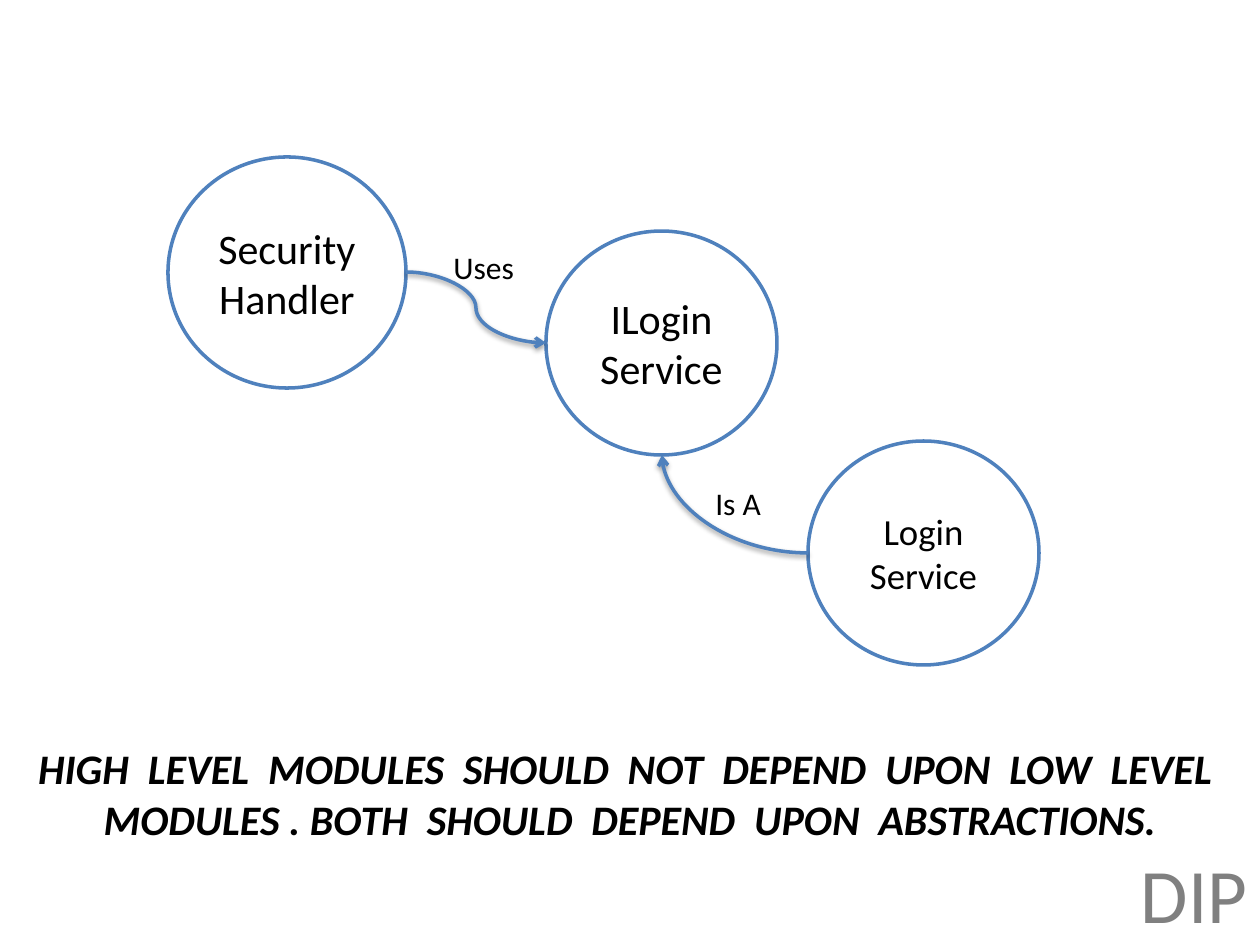
import pptx
import pptx.util
import pptx.dml.color
import pptx.enum.shapes
import pptx.enum.text
import pptx.oxml
import pptx.oxml.ns

PX = 914400 // 126
COLORS = {"page": "FFFFFF", "ink": "000000", "line": "4F81BD", "tag": "808080"}
ALIGN = pptx.enum.text.PP_ALIGN
ANCHOR = pptx.enum.text.MSO_ANCHOR

CIRCLES = {
    "handler": (["Security", "Handler"], (168, 157, 238, 231), 24),
    "interface": (["ILogin", "Service"], (546, 231, 231, 224), 24),
    "service": (["Login Service"], (808, 441, 231, 224), 21),
}
ARROWS = [
    ("handler", "right", "interface", "left", "curvedConnector3"),
    ("service", "left", "interface", "bottom", "curvedConnector2"),
]
LABELS = [("Uses", (441, 242, 87, 50)), ("Is A", (703, 478, 72, 50))]
PRINCIPLE = ("HIGH  LEVEL  MODULES  SHOULD  NOT  DEPEND  UPON  LOW  LEVEL  MODULES . "
             "BOTH  SHOULD  DEPEND  UPON  ABSTRACTIONS.")
SIDES = {"left": (0, 0.5), "right": (1, 0.5), "bottom": (0.5, 1)}
NS = pptx.oxml.ns.nsdecls("a")
TAIL = f'<a:tailEnd {NS} type="arrow"/>'
SHADOW = (f'<a:effectLst {NS}><a:outerShdw blurRad="40000" dist="20000" dir="5400000" '
          'rotWithShape="0"><a:srgbClr val="000000"><a:alpha val="38000"/></a:srgbClr>'
          '</a:outerShdw></a:effectLst>')


def emu(values):
    return [round(v) * PX for v in values]


def rgb(name):
    return pptx.dml.color.RGBColor.from_string(COLORS[name])


def write(sp, lines, size, align=ALIGN.CENTER, anchor=ANCHOR.MIDDLE, color="ink",
          wrap=True, strong=None):
    tf = sp.text_frame
    tf.word_wrap = wrap
    tf.vertical_anchor = anchor
    tf.text = "\n".join(lines)
    for p in tf.paragraphs:
        p.alignment = align
        p.font.name = "Calibri"
        p.font.size = pptx.util.Pt(size)
        p.font.color.rgb = rgb(color)
        p.font.bold = p.font.italic = strong


def outline(sp):
    sp.line.color.rgb = rgb("line")
    sp.line.width = pptx.util.Pt(2)


def side_point(circle, side):
    x, y, w, h = CIRCLES[circle][1]
    fx, fy = SIDES[side]
    return x + w * fx, y + h * fy


def add_text(s, box, lines, size, **style):
    write(s.shapes.add_textbox(*emu(box)), lines, size, **style)


def add_circle(s, lines, box, size):
    sp = s.shapes.add_shape(pptx.enum.shapes.MSO_SHAPE.OVAL, *emu(box))
    sp.shadow.inherit = False
    sp.fill.solid()
    sp.fill.fore_color.rgb = rgb("page")
    outline(sp)
    write(sp, lines, size)


def add_arrow(s, start, start_side, end, end_side, curve):
    ends = side_point(start, start_side) + side_point(end, end_side)
    sp = s.shapes.add_connector(pptx.enum.shapes.MSO_CONNECTOR.CURVE, *emu(ends))
    outline(sp)
    props = sp._element.spPr
    props.find(pptx.oxml.ns.qn("a:prstGeom")).set("prst", curve)
    sp.line._get_or_add_ln().append(pptx.oxml.parse_xml(TAIL))
    props.append(pptx.oxml.parse_xml(SHADOW))


def main():
    prs = pptx.Presentation()
    prs.slide_width, prs.slide_height = pptx.util.Inches(10), pptx.util.Inches(7.5)
    s = prs.slides.add_slide(prs.slide_layouts[6])
    add_text(s, (1092, 788, 168, 157), ["DIP"], 44,
             align=ALIGN.RIGHT, anchor=ANCHOR.BOTTOM, color="tag")
    add_text(s, (0, 714, 1260, 158), [PRINCIPLE], 24, strong=True)
    for circle in CIRCLES.values():
        add_circle(s, *circle)
    for arrow in ARROWS:
        add_arrow(s, *arrow)
    for label, box in LABELS:
        add_text(s, box, [label], 18, align=ALIGN.LEFT, anchor=ANCHOR.TOP, wrap=False)
    prs.save("out.pptx")


if __name__ == "__main__":
    main()
